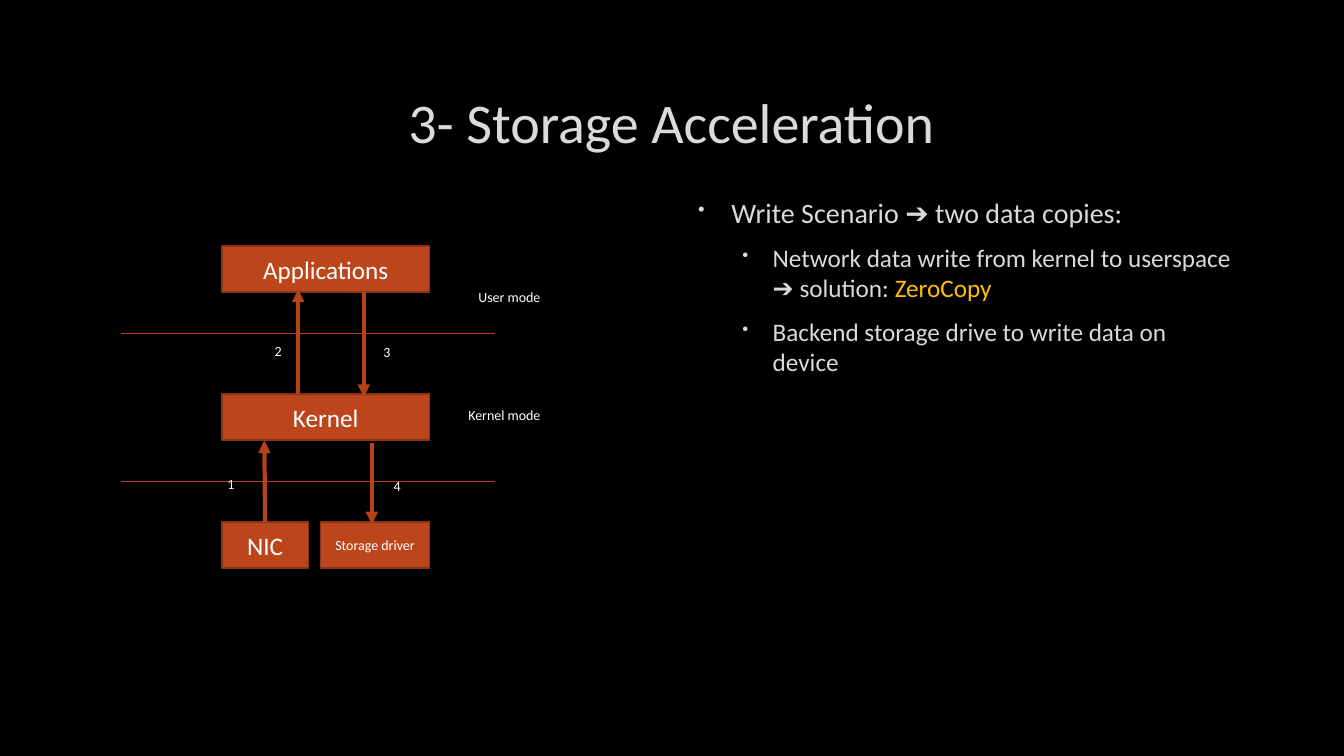
from lxml.etree import SubElement
from pptx import Presentation
from pptx.dml.color import RGBColor
from pptx.enum.shapes import MSO_CONNECTOR, MSO_SHAPE
from pptx.enum.text import MSO_ANCHOR, MSO_AUTO_SIZE, PP_ALIGN
from pptx.oxml.ns import qn
from pptx.util import Pt

BLACK = RGBColor(0x00, 0x00, 0x00)
WHITE = RGBColor(0xFF, 0xFF, 0xFF)
PALE = RGBColor(0xDA, 0xDA, 0xDA)
GOLD = RGBColor(0xFF, 0xC0, 0x00)
RUST = RGBColor(0xBC, 0x45, 0x1B)
EDGE = RGBColor(0x8B, 0x33, 0x14)
WIRE = RGBColor(0xB4, 0x42, 0x1A)
FONT = "Calibri"


def style(font, size, color):
    font.name = FONT
    font.size = Pt(size)
    font.color.rgb = color


def add_text(slide, box, text, size, color, align):
    shape = slide.shapes.add_textbox(*map(Pt, box))
    frame = shape.text_frame
    frame.word_wrap = True
    frame.text = text
    para = frame.paragraphs[0]
    para.alignment = align
    style(para.runs[0].font, size, color)
    return frame


def add_node(slide, box, text, size):
    shape = slide.shapes.add_shape(MSO_SHAPE.RECTANGLE, *map(Pt, box))
    shape.shadow.inherit = False
    shape.fill.solid()
    shape.fill.fore_color.rgb = RUST
    shape.line.color.rgb = EDGE
    shape.line.width = Pt(1.25)
    frame = shape.text_frame
    frame.vertical_anchor = MSO_ANCHOR.MIDDLE
    frame.text = text
    para = frame.paragraphs[0]
    para.alignment = PP_ALIGN.CENTER
    style(para.runs[0].font, size, WHITE)


def add_line(slide, ends, width, arrow=False):
    line = slide.shapes.add_connector(MSO_CONNECTOR.STRAIGHT, *map(Pt, ends))
    line.line.color.rgb = WIRE
    line.line.width = Pt(width)
    if arrow:
        SubElement(line.line._get_or_add_ln(), qn("a:tailEnd"), type="triangle")
    SubElement(line._element.spPr, qn("a:effectLst"))


def add_bullet(para, left, hang):
    props = para._p.get_or_add_pPr()
    props.set("marL", str(Pt(left)))
    props.set("indent", str(-Pt(hang)))
    tint = SubElement(props, qn("a:buClr"))
    SubElement(tint, qn("a:srgbClr"), val=str(PALE))
    SubElement(props, qn("a:buSzPct"), val="70000")
    SubElement(props, qn("a:buChar"), char="•")


def draw_title(slide, box):
    frame = add_text(slide, box, "3- Storage Acceleration", 40, PALE, PP_ALIGN.CENTER)
    frame.vertical_anchor = MSO_ANCHOR.MIDDLE


def draw_notes(slide, box):
    frame = slide.shapes.add_textbox(*map(Pt, box)).text_frame
    frame.word_wrap = True
    items = [
        (0, [("Write Scenario ➔ two data copies:", PALE)]),
        (1, [("Network data write from kernel to userspace ➔ solution: ", PALE),
             ("ZeroCopy", GOLD)]),
        (1, [("Backend storage drive to write data on device", PALE)]),
    ]
    for num, (level, parts) in enumerate(items):
        para = frame.add_paragraph() if num else frame.paragraphs[0]
        para.level = level
        size = (20, 18)[level]
        add_bullet(para, *((27.4, 23.8), (56.9, 21.6))[level])
        if num:
            para.space_before = Pt(size * 0.2)
        para.space_after = Pt(6)
        for text, color in parts:
            run = para.add_run()
            run.text = text
            style(run.font, size, color)


def draw_flow(slide, box):
    left, top, width, height = box
    tall = 33
    base = top + height - tall
    mid = top + 105.8
    col, wide = left + 72, 148.5

    # Mode borders
    for y in (top + 62.5, top + 168):
        add_line(slide, (left, y, left + width, y), 0.75)

    # Nodes
    add_node(slide, (col, top, wide, tall), "Applications", 18)
    add_node(slide, (col, mid, wide, tall), "Kernel", 18)
    add_node(slide, (col, base, 62, tall), "NIC", 18)
    add_node(slide, (col + 70.5, base, 78, tall), "Storage driver", 10)

    # Data steps: arrow ends, then label corner
    steps = [
        (31, base, 30.4, mid + tall, -5, 160),
        (54.6, mid, 54.6, top + 31, 28.8, 65.5),
        (101.5, top + tall, 101.5, mid + 2, 106.5, 66.2),
        (107.2, mid + 34.5, 107.2, base + 1.5, 113.8, 162),
    ]
    for x1, y1, x2, y2, _, _ in steps:
        add_line(slide, (col + x1, y1, col + x2, y2), 3, True)
    tags = [(str(num), col + step[4], top + step[5], 23, PP_ALIGN.CENTER)
            for num, step in enumerate(steps, 1)]

    # Mode names
    tags += [(name, left + 227.5, top + y, 79.2, PP_ALIGN.RIGHT)
             for name, y in (("User mode", 26.6), ("Kernel mode", 110.8))]
    for text, x, y, span, align in tags:
        frame = add_text(slide, (x, y, span, 19.4), text, 10, WHITE, align)
        frame.auto_size = MSO_AUTO_SIZE.SHAPE_TO_FIT_TEXT


def main():
    deck = Presentation()
    deck.slide_width, deck.slide_height = Pt(960), Pt(540)
    slide = deck.slides.add_slide(deck.slide_layouts[6])
    slide.background.fill.solid()
    slide.background.fill.fore_color.rgb = BLACK
    draw_title(slide, (72, 48, 815, 76.5))
    draw_notes(slide, (488, 136, 399, 320))
    draw_flow(slide, (86.4, 175.8, 267, 230.2))
    deck.save("out.pptx")


if __name__ == "__main__":
    main()
